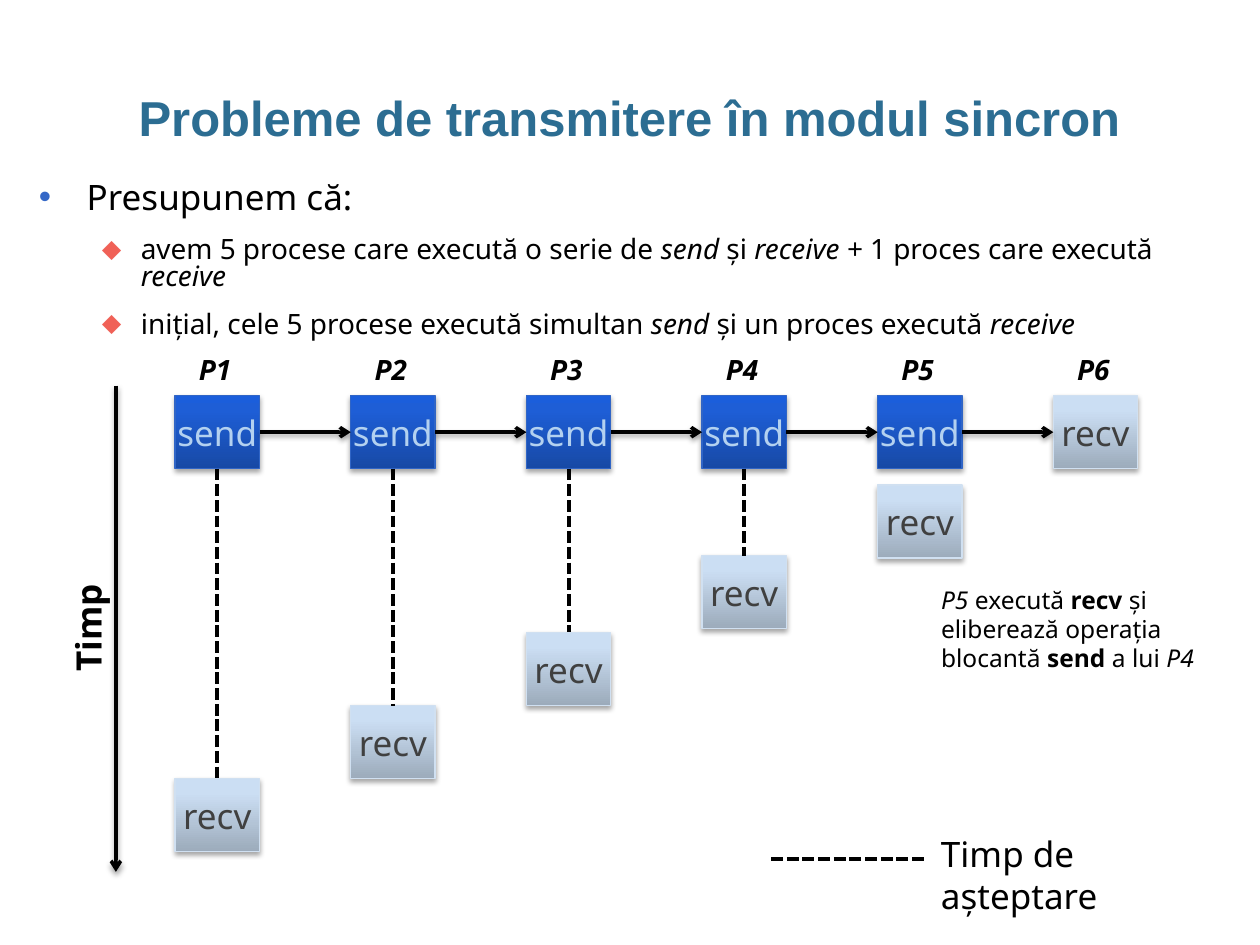
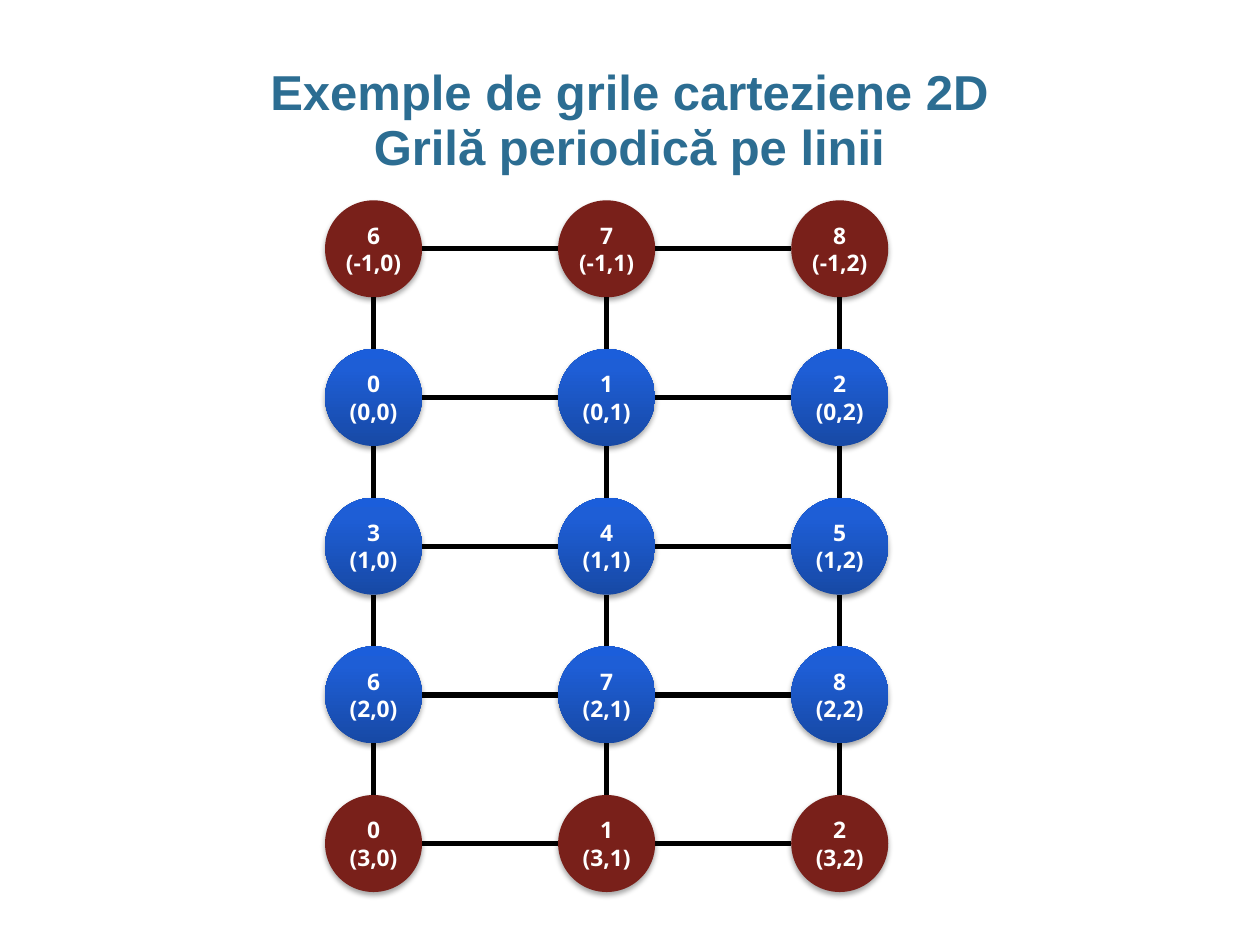
from dataclasses import dataclass
from itertools import pairwise
from typing import Any, NamedTuple

from lxml import etree
from pptx import Presentation
from pptx.dml import color
from pptx.enum import dml, shapes, text
from pptx.oxml import ns
from pptx.util import Inches, Pt


@dataclass(frozen=True)
class Theme:
    heading_font: str = "Arial"
    body_font: str = "Noto Sans"
    title: str = "2C6D92"
    ink: str = "000000"
    white: str = "FFFFFF"
    send_text: str = "B3D1F0"
    recv_text: str = "404040"
    send_edge: str = "3065C6"
    recv_edge: str = "D0E0F1"
    bullet: str = "3568C7"
    sub_bullet: str = "F06157"
    wrapped_node: tuple[str, ...] = ("79201A",)
    blue: tuple[str, ...] = ("1749A5", "1E5ED6", "1B5EDB")
    pale: tuple[str, ...] = ("9CABBB", "CBDEF3", "CBDFF5")
    title_size: int = 28
    large: int = 20
    medium: int = 16
    note: int = 14
    node: int = 13


THEME = Theme()


class Box(NamedTuple):
    left: float
    top: float
    width: float
    height: float


class Span(NamedTuple):
    text: str
    bold: bool = False
    italic: bool = False


class Shadow(NamedTuple):
    opacity: int
    distance: float
    blur: float = 3.1


class Bullet(NamedTuple):
    char: str
    color: str
    margin: float
    hang: float
    level: int


@dataclass(frozen=True)
class TextStyle:
    size: int
    color: str = THEME.ink
    font: str = THEME.body_font
    align: Any = None


@dataclass(frozen=True)
class Operation:
    label: str
    fill: tuple[str, ...]
    edge: str
    color: str


TITLE = TextStyle(THEME.title_size, THEME.title, THEME.heading_font, text.PP_ALIGN.CENTER)
LARGE = TextStyle(THEME.large)
MEDIUM = TextStyle(THEME.medium)
NOTE = TextStyle(THEME.note)
NODE = TextStyle(THEME.node, THEME.white, align=text.PP_ALIGN.CENTER)
SEND = Operation("send", THEME.blue, THEME.send_edge, THEME.send_text)
RECV = Operation("recv", THEME.pale, THEME.recv_edge, THEME.recv_text)
SHAPE_SHADOW = Shadow(35, 1.8)
ARROW_SHADOW = Shadow(38, 1.6)
MAIN_BULLET = Bullet("•", THEME.bullet, 0.38, 0.38, 0)
SUB_BULLET = Bullet("⬥", THEME.sub_bullet, 0.81, 0.31, 1)


def rgb(value: str) -> color.RGBColor:
    return color.RGBColor.from_string(value)


def apply(target: Any, values: dict[str, Any]) -> None:
    for name, value in values.items():
        setattr(target, name, value)


def add_xml(parent: Any, tag: str, **attributes: Any) -> Any:
    values = {name: str(value) for name, value in attributes.items()}
    return etree.SubElement(parent, ns.qn(tag), values)


def add_color(parent: Any, value: str) -> Any:
    return add_xml(parent, "a:srgbClr", val=value)


def add_shadow(effects: Any, shadow: Shadow) -> None:
    outer = add_xml(effects, "a:outerShdw", blurRad=Pt(shadow.blur), dist=Pt(shadow.distance),
                    dir=90 * 60000, rotWithShape=0)
    add_xml(add_color(outer, THEME.ink), "a:alpha", val=shadow.opacity * 1000)


def write_spans(paragraph: Any, spans: list[Span], style: TextStyle) -> None:
    paragraph.alignment = style.align
    for span in spans:
        run = paragraph.add_run()
        run.text = span.text
        apply(run.font, {"size": Pt(style.size), "name": style.font,
                         "bold": span.bold, "italic": span.italic})
        run.font.color.rgb = rgb(style.color)


def add_text(slide: Any, box: Box, spans: list[Span], style: TextStyle) -> Any:
    label = slide.shapes.add_textbox(*map(Inches, box))
    apply(label.text_frame, {"word_wrap": True,
                             "auto_size": text.MSO_AUTO_SIZE.SHAPE_TO_FIT_TEXT})
    write_spans(label.text_frame.paragraphs[0], spans, style)
    return label


def add_title(slide: Any, top: float, *lines: str) -> None:
    heading = slide.shapes.add_textbox(*map(Inches, Box(0.34, top, 9.31, 0.5)))
    apply(heading.text_frame, {"word_wrap": True, "margin_left": 0, "margin_right": 0})
    paragraph = heading.text_frame.paragraphs[0]
    paragraph.line_spacing = 0.95
    for index, line in enumerate(lines):
        if index:
            paragraph.add_line_break()
        write_spans(paragraph, [Span(line, bold=True)], TITLE)


def add_bullet(paragraph: Any, bullet: Bullet) -> None:
    apply(paragraph, {"level": bullet.level, "line_spacing": 0.8,
                      "space_before": Pt(6), "space_after": Pt(6)})
    properties = paragraph._p.get_or_add_pPr()
    properties.set("marL", str(Inches(bullet.margin)))
    properties.set("indent", str(-Inches(bullet.hang)))
    add_color(add_xml(properties, "a:buClr"), bullet.color)
    add_xml(properties, "a:buFont", typeface=THEME.heading_font)
    add_xml(properties, "a:buChar", char=bullet.char)


def fill_shape(shape: Any, colors: tuple[str, ...]) -> None:
    """Fill with one colour, or with a gradient running from bottom to top."""
    if len(colors) == 1:
        shape.fill.solid()
        shape.fill.fore_color.rgb = rgb(colors[0])
        return
    shape.fill.gradient()
    gradient = shape._element.spPr.find(ns.qn("a:gradFill"))
    for child in list(gradient):
        gradient.remove(child)
    stops = add_xml(gradient, "a:gsLst")
    for position, value in zip((0, 80, 100), colors):
        add_color(add_xml(stops, "a:gs", pos=position * 1000), value)
    add_xml(gradient, "a:lin", ang=270 * 60000, scaled=0)


def add_block(slide: Any, kind: Any, box: Box, fill: tuple[str, ...], edge: str | None,
              lines: list[Span], style: TextStyle) -> None:
    block = slide.shapes.add_shape(kind, *map(Inches, box))
    fill_shape(block, fill)
    if edge:
        block.line.color.rgb = rgb(edge)
        block.line.width = Pt(0.75)
    else:
        block.line.fill.background()
    block.shadow.inherit = False
    add_shadow(block._element.spPr.find(ns.qn("a:effectLst")), SHAPE_SHADOW)
    frame = block.text_frame
    apply(frame, {"word_wrap": False, "vertical_anchor": text.MSO_ANCHOR.MIDDLE})
    for index, line in enumerate(lines):
        paragraph = frame.add_paragraph() if index else frame.paragraphs[0]
        write_spans(paragraph, [line], style)


def add_line(slide: Any, start: tuple[float, float], end: tuple[float, float], width: float,
             dashed: bool = False, arrow: bool = False) -> None:
    line = slide.shapes.add_connector(shapes.MSO_CONNECTOR.STRAIGHT, *map(Inches, (*start, *end)))
    line.line.color.rgb = rgb(THEME.ink)
    line.line.width = Pt(width)
    if dashed:
        line.line.dash_style = dml.MSO_LINE.SQUARE_DOT
    effects = add_xml(line._element.spPr, "a:effectLst")
    if arrow:
        add_xml(line.line._get_or_add_ln(), "a:tailEnd", type="arrow")
        add_shadow(effects, ARROW_SHADOW)


def add_operation(slide: Any, operation: Operation, box: Box) -> None:
    style = TextStyle(THEME.large, operation.color, align=text.PP_ALIGN.CENTER)
    add_block(slide, shapes.MSO_SHAPE.RECTANGLE, box, operation.fill, operation.edge,
              [Span(operation.label)], style)


def add_assumptions(slide: Any) -> None:
    send, receive = Span("send", italic=True), Span("receive", italic=True)
    points = [
        (MAIN_BULLET, LARGE, [Span("Presupunem că:")]),
        (SUB_BULLET, MEDIUM, [
            Span("avem 5 procese care execută o serie de "), send, Span(" și "),
            Span("receive + ", italic=True), Span("1 proces care execută "), receive]),
        (SUB_BULLET, MEDIUM, [
            Span("inițial, cele 5 procese execută simultan "), send,
            Span(" și un proces execută "), receive]),
    ]
    frame = slide.shapes.add_textbox(*map(Inches, Box(0.21, 1.41, 9.58, 1.42))).text_frame
    frame.word_wrap = True
    for index, (bullet, style, spans) in enumerate(points):
        paragraph = frame.add_paragraph() if index else frame.paragraphs[0]
        add_bullet(paragraph, bullet)
        write_spans(paragraph, spans, style)


def build_synchronous_send(slide: Any) -> None:
    add_title(slide, 0.68, "Probleme de transmitere în modul sincron")
    add_assumptions(slide)

    add_line(slide, (0.92, 3.06), (0.92, 6.92), 2, arrow=True)
    time_axis = add_text(slide, Box(0.15, 4.66, 1.1, 0.44), [Span("Timp", bold=True)], LARGE)
    time_axis.rotation = 270

    width, height, send_top = 0.67, 0.58, 3.14
    first, last = 1.39, 8.36
    lefts = [first + (last - first) / 5 * index for index in range(6)]
    recv_tops = (6.18, 5.6, 5.02, 4.41, 3.85, send_top)
    for number, (left, recv_top) in enumerate(zip(lefts, recv_tops), start=1):
        add_text(slide, Box(left + 0.09, 2.75, 0.59, 0.37),
                 [Span(f"P{number}", bold=True, italic=True)], MEDIUM)
        add_operation(slide, RECV, Box(left, recv_top, width, height))
        if recv_top > send_top:
            add_operation(slide, SEND, Box(left, send_top, width, height))
        if number < 5:
            center = left + width / 2
            add_line(slide, (center, send_top + height), (center, recv_top), 2.25, dashed=True)
    for sender, receiver in pairwise(lefts):
        add_line(slide, (sender + width, 3.43), (receiver, 3.43), 2, arrow=True)

    add_line(slide, (6.12, 6.82), (7.36, 6.82), 2.25, dashed=True)
    add_text(slide, Box(7.37, 6.56, 2.44, 0.44), [Span("Timp de așteptare")], LARGE)
    add_text(slide, Box(7.37, 4.59, 2.68, 0.81), [
        Span("P5", italic=True), Span(" execută "), Span("recv", bold=True),
        Span(" și eliberează operația blocantă "), Span("send", bold=True),
        Span(" a lui "), Span("P4", italic=True)], NOTE)


def build_periodic_grid(slide: Any) -> None:
    add_title(slide, 0.47, "Exemple de grile carteziene 2D", "Grilă periodică pe linii")
    size, columns, rows = 0.77, 3, 3
    for row in range(-1, rows + 1):
        top = 2.77 + 1.18 * row
        fill = THEME.blue if 0 <= row < rows else THEME.wrapped_node
        for column in range(columns):
            left = 2.58 + 1.85 * column
            rank = row % rows * columns + column
            add_block(slide, shapes.MSO_SHAPE.OVAL, Box(left, top, size, size), fill, None,
                      [Span(str(rank), bold=True), Span(f"({row},{column})", bold=True)], NODE)
            center_x, center_y = left + size / 2, top + size / 2
            if column < columns - 1:
                add_line(slide, (left + size, center_y), (left + 1.85, center_y), 3)
            if row < rows:
                add_line(slide, (center_x, top + size), (center_x, top + 1.18), 3)


def main() -> None:
    deck = Presentation()
    apply(deck, {"slide_width": Inches(10), "slide_height": Inches(7.5)})
    for build in (build_synchronous_send, build_periodic_grid):
        build(deck.slides.add_slide(deck.slide_layouts[6]))
    deck.save("out.pptx")


if __name__ == "__main__":
    main()
